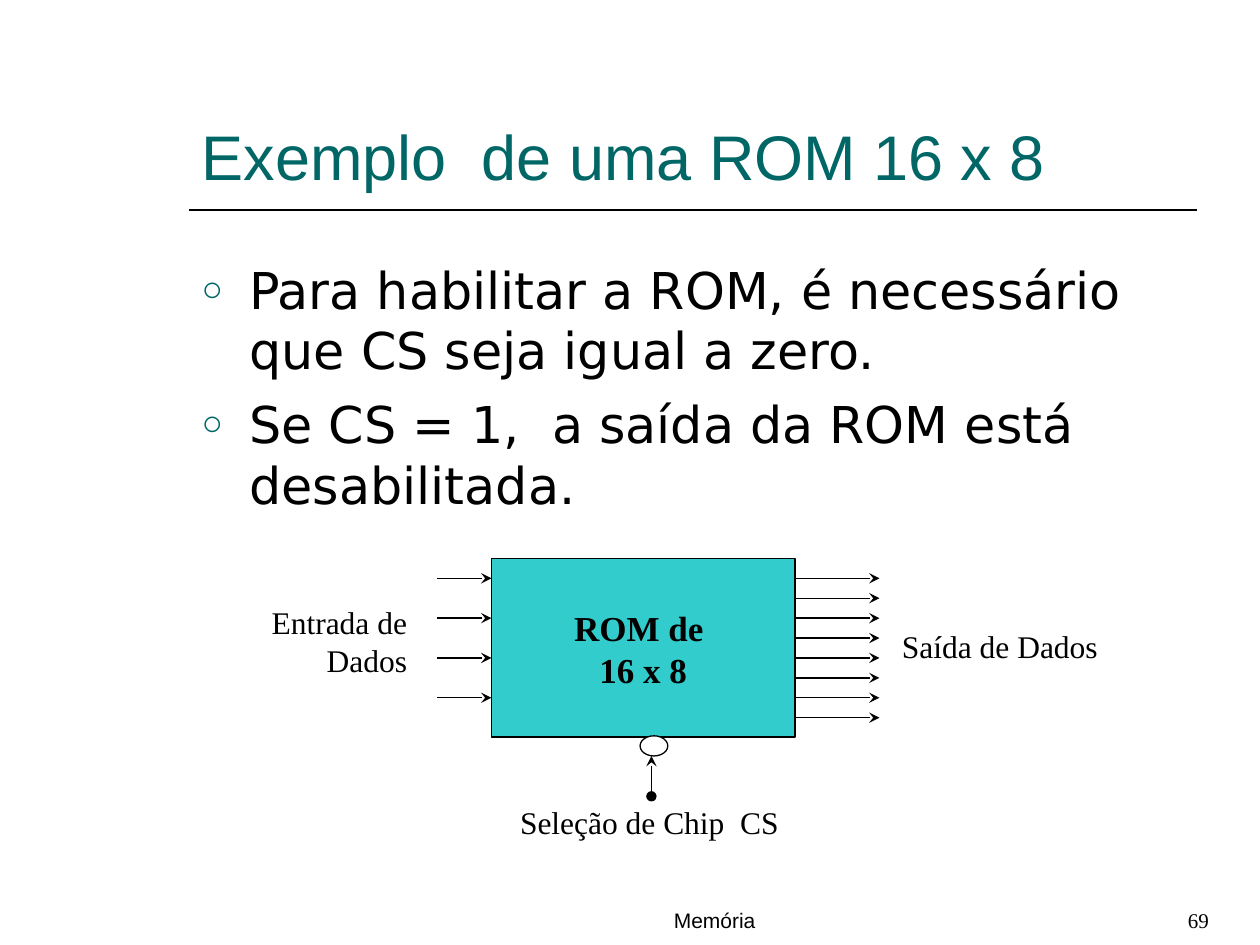
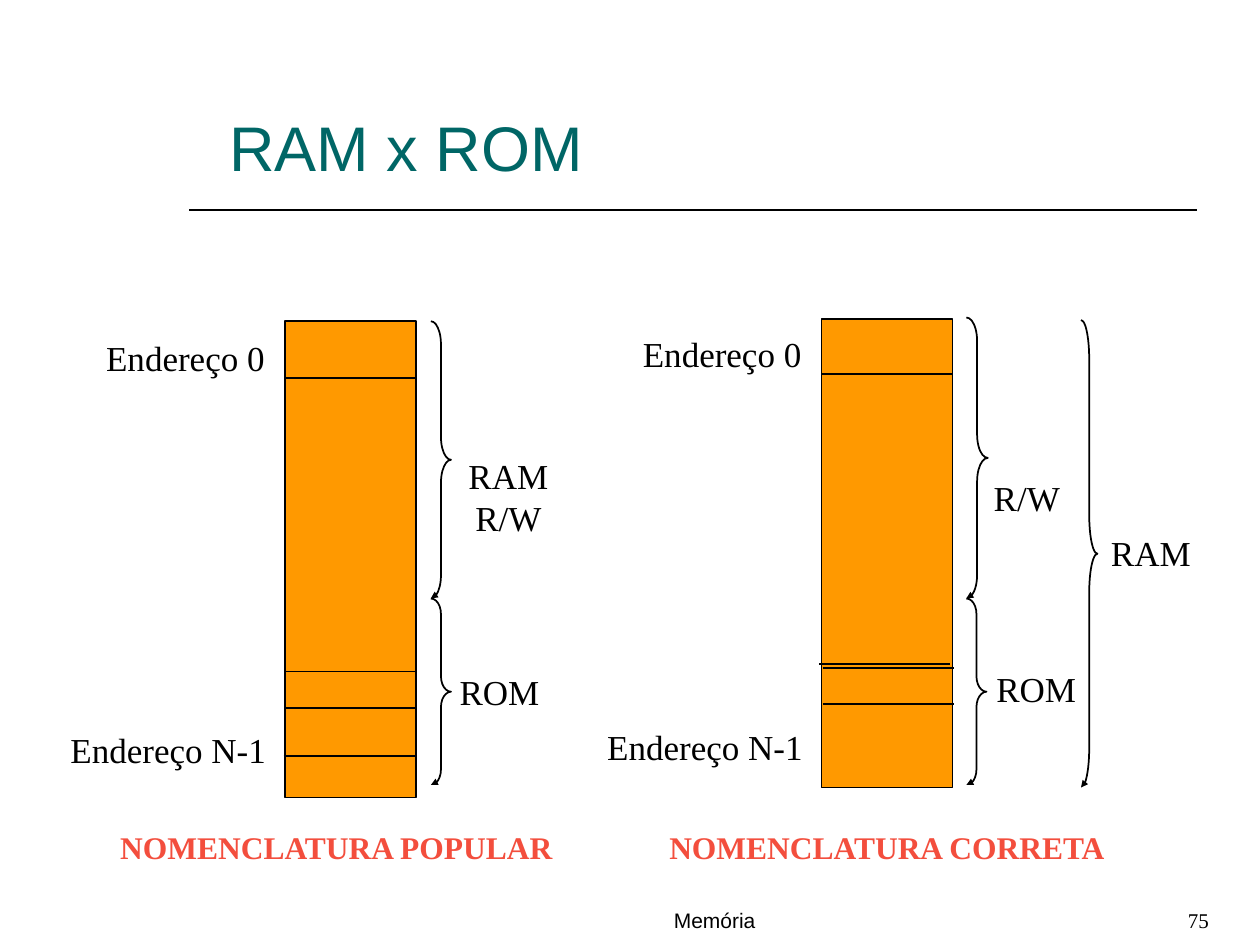
import pptx
import pptx.dml.color
import pptx.enum.shapes
import pptx.enum.text
import pptx.oxml
import pptx.oxml.ns
import pptx.util
from lxml import etree

Inches, Pt = pptx.util.Inches, pptx.util.Pt
SHAPE = pptx.enum.shapes.MSO_SHAPE
ALIGN = pptx.enum.text.PP_ALIGN
ANCHOR = pptx.enum.text.MSO_ANCHOR
AUTO_SIZE = pptx.enum.text.MSO_AUTO_SIZE

COLORS = {"title": "006666", "text": "000000", "line": "000000", "chip": "33CCCC",
          "memory": "FF9900", "caption": "F34E3D", "pin": "FFFFFF"}
SERIF, SANS, BODY = "Times New Roman", "Arial", "DejaVu Sans"
FOOTER = "Memória"
RULE_Y = 5 / 3

# Content of the ROM slide
ROM_TITLE = "Exemplo  de uma ROM 16 x 8"
ROM_POINTS = ["Para habilitar a ROM, é necessário que CS seja igual a zero.",
              "Se CS = 1,  a saída da ROM está desabilitada."]
CHIP_LINES = ["ROM de ", "16 x 8"]
CHIP_BOX = (3.9, 4.43, 2.41, 1.42)
FIRST_PIN, PIN_GAP = 4.59, 0.158
# start x, end x, number of arrows, pin gaps between arrows
ARROW_GROUPS = [(3.47, 3.9, 4, 2), (6.32, 6.98, 8, 1)]
CHIP_LABELS = [("Saída de Dados", (7.06, 4.93, 2.19, 0.47), ALIGN.LEFT),
               ("Entrada de Dados", (1.57, 4.74, 1.76, 0.63), ALIGN.RIGHT),
               ("Seleção de Chip  CS", (3.99, 6.32, 2.33, 0.58), ALIGN.CENTER)]

# Content of the RAM x ROM slide: one dict per memory map
NAMES_TITLE = "RAM x ROM"
MEMORY_MAPS = [
    {"box": (2.26, 2.55, 1.04, 3.78),
     "dividers": [(2.26, 3), (2.27, 5.33), (2.27, 5.62), (2.25, 6)],
     "braces": [(3.42, 2.55, 0.16, 2.2), (3.42, 4.75, 0.16, 1.48)],
     "labels": [(["Endereço 0"], (0.64, 2.62, 1.56, 0.44)),
                (["Endereço N-1"], (0.36, 5.73, 1.85, 0.44)),
                (["RAM", "R/W"], (3.57, 3.56, 0.93, 0.77)),
                (["ROM"], (3.45, 5.27, 0.93, 0.44))],
     "caption": ("NOMENCLATURA POPULAR", (0.84, 6.52, 3.66, 0.4))},
    {"box": (6.52, 2.53, 1.04, 3.72),
     "dividers": [(6.52, 2.97), (6.53, 5.3), (6.53, 5.59), (6.5, 5.27)],
     "braces": [(7.67, 2.52, 0.17, 2.23), (7.67, 4.75, 0.16, 1.48),
                (8.58, 2.54, 0.13, 3.71)],
     "labels": [(["Endereço 0"], (4.9, 2.59, 1.56, 0.44)),
                (["Endereço N-1"], (4.62, 5.71, 1.85, 0.44)),
                (["R/W"], (7.69, 3.73, 0.82, 0.44)),
                (["ROM"], (7.71, 5.25, 0.93, 0.44)),
                (["RAM"], (8.62, 4.17, 0.93, 0.44))],
     "caption": ("NOMENCLATURA CORRETA", (5.19, 6.52, 3.7, 0.4))},
]


def color(name):
    return pptx.dml.color.RGBColor.from_string(COLORS[name])


def inches(box):
    return [Inches(value) for value in box]


def add_xml(parent, tag, **attributes):
    return etree.SubElement(parent, pptx.oxml.ns.qn(tag), attributes)


def style_line(line, width, head=None, tail=None, size="med"):
    line.color.rgb = color("line")
    line.width = Pt(width)
    for tag, kind in (("a:headEnd", head), ("a:tailEnd", tail)):
        if kind:
            add_xml(line._get_or_add_ln(), tag, type=kind, w=size, len=size)


def add_line(slide, start, end, width=1, head=None, tail=None):
    connector = slide.shapes.add_connector(
        pptx.enum.shapes.MSO_CONNECTOR.STRAIGHT, *inches(start + end))
    style_line(connector.line, width, head, tail)
    add_xml(connector._element.spPr, "a:effectLst")


def add_shape(slide, kind, box, fill=None, width=1, tail=None):
    shape = slide.shapes.add_shape(kind, *inches(box))
    shape.shadow.inherit = False
    if fill:
        shape.fill.solid()
        shape.fill.fore_color.rgb = color(fill)
    else:
        shape.fill.background()
    style_line(shape.line, width, tail=tail, size="sm")
    return shape


def write(frame, lines, size, font=SERIF, ink="text", align=ALIGN.LEFT, bold=False):
    frame.text = "\n".join(lines)
    for paragraph in frame.paragraphs:
        paragraph.alignment = align
        paragraph.font.size = Pt(size)
        paragraph.font.name = font
        paragraph.font.bold = bold
        paragraph.font.color.rgb = color(ink)


def add_text(slide, lines, box, size, **style):
    frame = slide.shapes.add_textbox(*inches(box)).text_frame
    frame.word_wrap = True
    write(frame, lines, size, **style)


def place(placeholder, box):
    placeholder.left, placeholder.top, placeholder.width, placeholder.height = inches(box)
    placeholder.text_frame.auto_size = AUTO_SIZE.NONE
    return placeholder.text_frame


def start_slide(presentation, layout, title, title_box, number):
    """Add a slide with the shared title style, rule and footer."""
    slide = presentation.slides.add_slide(presentation.slide_layouts[layout])
    add_line(slide, (1.5, RULE_Y), (9.5, RULE_Y))
    add_text(slide, [number], (9.33, 7.15, 0.67, 0.3), 12)
    add_text(slide, [FOOTER], (5.25, 7.15, 1, 0.3), 12, font=SANS)
    frame = place(slide.shapes.title, title_box)
    frame.vertical_anchor = ANCHOR.BOTTOM
    write(frame, [title], 36, font=SANS, ink="title")
    return slide


def build_rom_slide(presentation):
    slide = start_slide(presentation, 1, ROM_TITLE, (1.5, 0.33, 8, 1.25), "69")

    # Bulleted list
    frame = place(slide.placeholders[1], (1.5, 2, 8, 4.5))
    write(frame, ROM_POINTS, 29, font=BODY)
    for paragraph in frame.paragraphs:
        paragraph.space_before = Pt(7.3)
        properties = paragraph._p.get_or_add_pPr()
        properties.set("marL", str(Inches(0.38)))
        properties.set("indent", str(-Inches(0.38)))
        bullet_color = etree.Element(pptx.oxml.ns.qn("a:buClr"))
        add_xml(bullet_color, "a:srgbClr", val=COLORS["title"])
        bullet_size = etree.Element(pptx.oxml.ns.qn("a:buSzPct"), val="70000")
        bullet = etree.Element(pptx.oxml.ns.qn("a:buChar"), char="○")
        defaults = properties.find(pptx.oxml.ns.qn("a:defRPr"))
        for element in (bullet_color, bullet_size, bullet):
            defaults.addprevious(element)

    # Chip with its input and output arrows
    chip = add_shape(slide, SHAPE.RECTANGLE, CHIP_BOX, "chip", 0.75)
    chip.text_frame.vertical_anchor = ANCHOR.TOP
    chip.text_frame.margin_top = Inches(0.38)
    write(chip.text_frame, CHIP_LINES, 20, align=ALIGN.CENTER, bold=True)
    for start, end, count, step in ARROW_GROUPS:
        for index in range(count):
            y = FIRST_PIN + index * step * PIN_GAP
            add_line(slide, (start, y), (end, y), 0.75, tail="stealth")

    # Chip select pin
    add_shape(slide, SHAPE.OVAL, (5.08, 5.84, 0.22, 0.16), "pin", 0.75)
    add_line(slide, (5.17, 6), (5.17, 6.32), 0.75, head="stealth", tail="oval")
    for text, box, align in CHIP_LABELS:
        add_text(slide, [text], box, 18, align=align)


def build_names_slide(presentation):
    slide = start_slide(presentation, 5, NAMES_TITLE, (1.72, 0.47, 7.55, 1.04), "75")
    for memory in MEMORY_MAPS:
        add_shape(slide, SHAPE.RECTANGLE, memory["box"], "memory")
        for x, y in memory["dividers"]:
            add_line(slide, (x, y), (x + memory["box"][2], y))
        for box in memory["braces"]:
            brace = add_shape(slide, SHAPE.RIGHT_BRACE, box, tail="triangle")
            brace.adjustments[0] = box[3] / box[2] / 12  # curves take 1/12 of the height
        for lines, box in memory["labels"]:
            align = ALIGN.CENTER if len(lines) > 1 else ALIGN.RIGHT
            add_text(slide, lines, box, 20, align=align)
        caption, box = memory["caption"]
        add_text(slide, [caption], box, 18, ink="caption", align=ALIGN.CENTER, bold=True)


def main():
    presentation = pptx.Presentation()
    presentation.slide_width, presentation.slide_height = Inches(10), Inches(7.5)
    build_rom_slide(presentation)
    build_names_slide(presentation)
    presentation.save("out.pptx")


if __name__ == "__main__":
    main()
